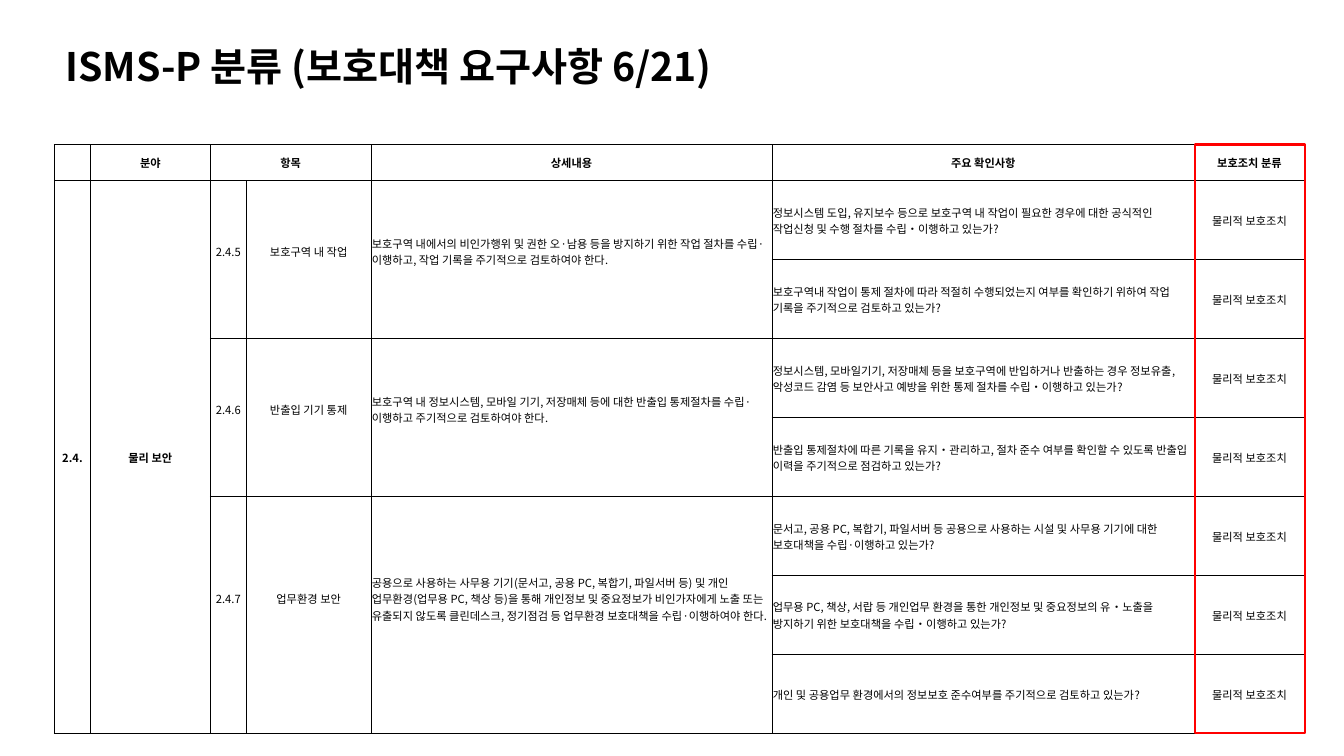
from lxml import etree
from pptx import Presentation
from pptx.dml.color import RGBColor
from pptx.enum.shapes import MSO_SHAPE
from pptx.enum.text import MSO_ANCHOR, MSO_AUTO_SIZE, PP_ALIGN
from pptx.oxml import parse_xml
from pptx.oxml.ns import nsdecls, qn
from pptx.util import Pt

LEFT, CENTER = PP_ALIGN.LEFT, PP_ALIGN.CENTER
MIDDLE = MSO_ANCHOR.MIDDLE
NO_AUTOFIT = MSO_AUTO_SIZE.NONE
RECTANGLE = MSO_SHAPE.RECTANGLE
TITLE_ONLY = 5
LINE_HEIGHT = 11.7  # one line of table text

TABLE_LEFT, TABLE_TOP = 38.9, 103.2
COLUMNS = [25.7, 85.7, 25.7, 89.2, 286.4, 301.8, 78.5]
HEADER_HEIGHT, ROW_HEIGHT = 25.9, 56.4

HEADERS = ["", "분야", "항목", "", "상세내용", "주요 확인사항", "보호조치 분류"]
MEASURE = "물리적 보호조치"

# Number, item, detail, checks; text between bars is set in the symbol font
ITEMS = [
    ("2.4.5", "보호구역 내 작업",
     "보호구역 내에서의 비인가행위 및 권한 오·남용 등을 방지하기 위한 작업 절차를 수립·이행하고, "
     "작업 기록을 주기적으로 검토하여야 한다.",
     ["정보시스템 도입, 유지보수 등으로 보호구역 내 작업이 필요한 경우에 대한 공식적인 작업신청 및 "
      "수행 절차를 수립‧이행하고 있는가?",
      "보호구역내 작업이 통제 절차에 따라 적절히 수행되었는지 여부를 확인하기 위하여 작업 기록을 "
      "주기적으로 검토하고 있는가?"]),
    ("2.4.6", "반출입 기기 통제",
     "보호구역 내 정보시스템, 모바일 기기, 저장매체 등에 대한 반출입 통제절차를 수립·이행하고 "
     "주기적으로 검토하여야 한다.",
     ["정보시스템, 모바일기기, 저장매체 등을 보호구역에 반입하거나 반출하는 경우 정보유출, 악성코드 "
      "감염 등 보안사고 예방을 위한 통제 절차를 수립‧이행하고 있는가?",
      "반출입 통제절차에 따른 기록을 유지|‧|관리하고, 절차 준수 여부를 확인할 수 있도록 반출입 이력을 "
      "주기적으로 점검하고 있는가?"]),
    ("2.4.7", "업무환경 보안",
     "공용으로 사용하는 사무용 기기(문서고, 공용 PC, 복합기, 파일서버 등) 및 개인 업무환경(업무용 PC, "
     "책상 등)을 통해 개인정보 및 중요정보가 비인가자에게 노출 또는 유출되지 않도록 클린데스크, "
     "정기점검 등 업무환경 보호대책을 수립·이행하여야 한다.",
     ["문서고, 공용 PC, 복합기, 파일서버 등 공용으로 사용하는 시설 및 사무용 기기에 대한 보호대책을 "
      "수립·이행하고 있는가?",
      "업무용 PC, 책상, 서랍 등 개인업무 환경을 통한 개인정보 및 중요정보의 유|‧|노출을 방지하기 위한 "
      "보호대책을 수립|‧|이행하고 있는가?",
      "개인 및 공용업무 환경에서의 정보보호 준수여부를 주기적으로 검토하고 있는가?"]),
]


def color(value):
    return RGBColor.from_string(value)


def write_text(text_frame, text, size=8, bold=False, align=LEFT,
               font="Noto Sans CJK KR", symbol_font="Arial", fill="000000"):
    paragraph = text_frame.paragraphs[0]
    paragraph.alignment = align
    for index, part in enumerate(text.split("|")):
        run = paragraph.add_run()
        run.text = part
        run.font.size = Pt(size)
        run.font.bold = bold
        run.font.color.rgb = color(fill)
        run.font.name = symbol_font if index % 2 else font
        east_asian = etree.SubElement(run._r.get_or_add_rPr(), qn("a:ea"))
        east_asian.set("typeface", run.font.name)


class SlideBuilder:
    black, red = "000000", "FF0000"

    def __init__(self, slide):
        self.slide = slide

    def title(self, text, left, top, width, height):
        shape = self.slide.shapes.title
        shape.left, shape.top = Pt(left), Pt(top)
        shape.width, shape.height = Pt(width), Pt(height)
        frame = shape.text_frame
        frame.word_wrap = True
        frame.auto_size = NO_AUTOFIT
        frame.vertical_anchor = MIDDLE
        write_text(frame, text, size=28, bold=True)

    def table(self, left, top, columns, rows):
        shape = self.slide.shapes.add_table(
            len(rows), len(columns), Pt(left), Pt(top), Pt(sum(columns)), Pt(sum(rows)))
        table = shape.table
        table.first_row = table.horz_banding = False
        for column, width in zip(table.columns, columns):
            column.width = Pt(width)
        for row, height in zip(table.rows, rows):
            row.height = Pt(height)
            for index, cell in enumerate(row.cells):
                self.format_cell(cell, index == 0, index == len(columns) - 1)
        return table

    def format_cell(self, cell, is_first, is_last):
        cell.vertical_anchor = MIDDLE
        cell.margin_left = cell.margin_right = cell.margin_top = Pt(0.5)
        cell.margin_bottom = Pt(0)
        cell.fill.background()
        properties = cell._tc.get_or_add_tcPr()
        widths = {"lnL": 1 if is_first else 0.75, "lnR": 1 if is_last else 0.75,
                  "lnT": 0.75, "lnB": 0.75}
        for position, (side, width) in enumerate(widths.items()):
            properties.insert(position, parse_xml(
                f'<a:{side} {nsdecls("a")} w="{Pt(width)}"><a:solidFill>'
                f'<a:srgbClr val="{self.black}"/></a:solidFill></a:{side}>'))

    def cell(self, table, row, column, text, row_span=1, column_span=1, lift=0, **text_format):
        cell = table.cell(row, column)
        if row_span * column_span > 1:
            cell.merge(table.cell(row + row_span - 1, column + column_span - 1))
        cell.margin_bottom = Pt(lift)
        write_text(cell.text_frame, text, **text_format)

    def outline(self, left, top, width, height):
        shape = self.slide.shapes.add_shape(
            RECTANGLE, Pt(left), Pt(top), Pt(width), Pt(height))
        shape.shadow.inherit = False
        shape.fill.background()
        shape.line.color.rgb = color(self.red)
        shape.line.width = Pt(1.5)


presentation = Presentation()
presentation.slide_width, presentation.slide_height = Pt(960), Pt(540)
builder = SlideBuilder(
    presentation.slides.add_slide(presentation.slide_layouts[TITLE_ONLY]))

builder.title("ISMS-P 분류 (보호대책 요구사항 6/21)", 39.6, 26.6, 628.6, 41)

# Table header and the area that spans every row
check_count = sum(len(checks) for *_, checks in ITEMS)
row_heights = [HEADER_HEIGHT] + [ROW_HEIGHT] * check_count
table = builder.table(TABLE_LEFT, TABLE_TOP, COLUMNS, row_heights)
for column, header in enumerate(HEADERS):
    if header:
        builder.cell(table, 0, column, header, bold=True, align=CENTER,
                     column_span=2 if header == "항목" else 1)
for column, text in enumerate(["2.4.", "물리 보안"]):
    builder.cell(table, 1, column, text, row_span=check_count, bold=True, align=CENTER)

# Items with their checks
row = 1
for number, item, detail, checks in ITEMS:
    span = len(checks)
    for column, text, align in [(2, number, CENTER), (3, item, CENTER), (4, detail, LEFT)]:
        builder.cell(table, row, column, text, row_span=span,
                     lift=LINE_HEIGHT * (span - 1), align=align)
    for check in checks:
        builder.cell(table, row, 5, check)
        builder.cell(table, row, 6, MEASURE, align=CENTER)
        row += 1

# Highlight around the last column
builder.outline(TABLE_LEFT + sum(COLUMNS[:-1]), TABLE_TOP, COLUMNS[-1], sum(row_heights))

presentation.save("out.pptx")
